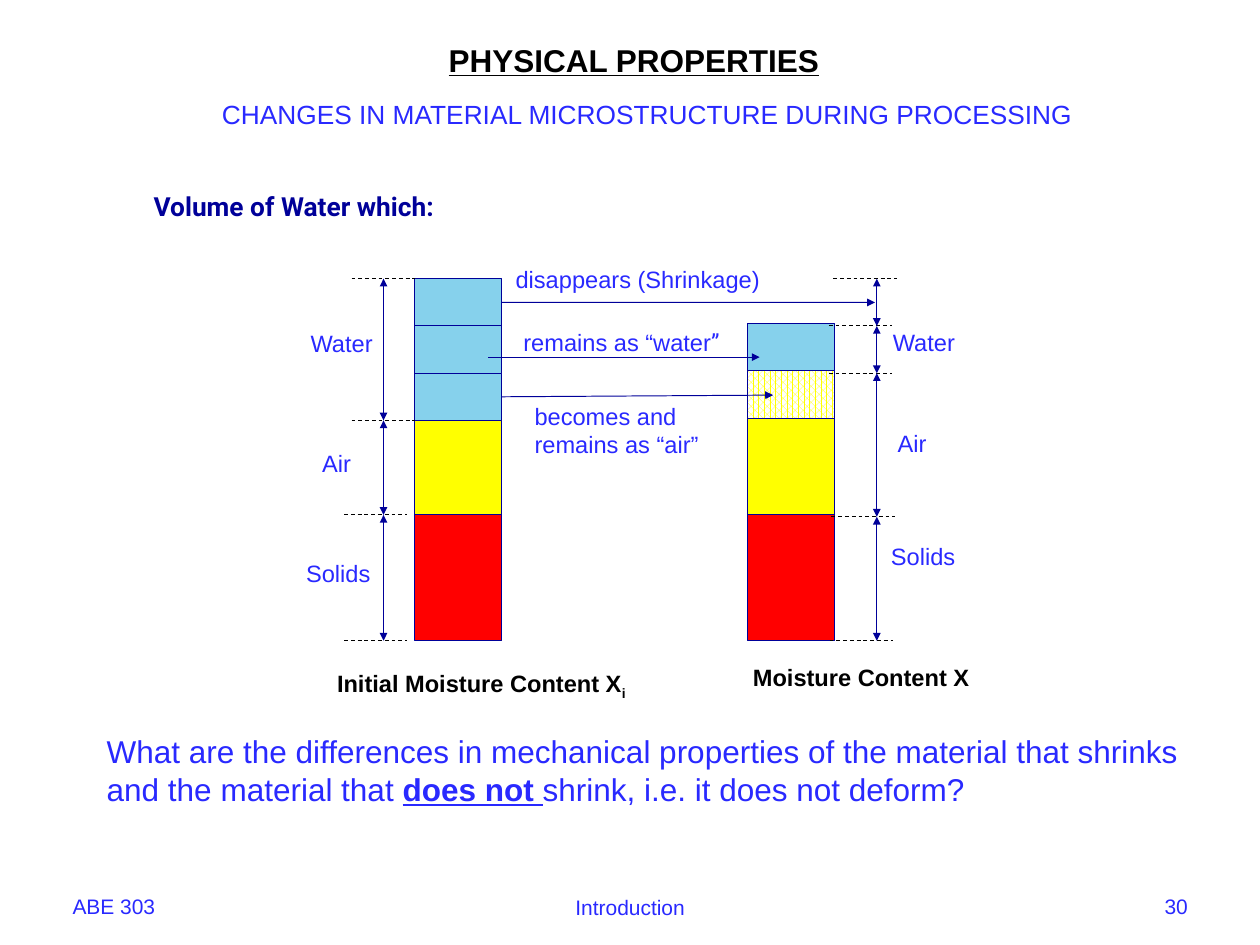
from collections import namedtuple
from itertools import accumulate, pairwise

from lxml import etree
from pptx import Presentation
from pptx.dml.color import RGBColor
from pptx.enum.dml import MSO_LINE, MSO_PATTERN
from pptx.enum.shapes import MSO_CONNECTOR, MSO_SHAPE
from pptx.enum.text import MSO_ANCHOR, MSO_AUTO_SIZE, PP_ALIGN
from pptx.oxml.ns import qn
from pptx.util import Cm, Pt

DASH = MSO_LINE.DASH
DOTTED = MSO_PATTERN.PERCENT_60
STRAIGHT = MSO_CONNECTOR.STRAIGHT
RECTANGLE = MSO_SHAPE.RECTANGLE
TOP, BOTTOM = MSO_ANCHOR.TOP, MSO_ANCHOR.BOTTOM
GROW, FIXED = MSO_AUTO_SIZE.SHAPE_TO_FIT_TEXT, MSO_AUTO_SIZE.NONE
LEFT, CENTER, RIGHT = PP_ALIGN.LEFT, PP_ALIGN.CENTER, PP_ALIGN.RIGHT
RIGHT_SIDE = 3

BLUE, NAVY, BLACK, WHITE = "2929FF", "000099", "000000", "FFFFFF"
WATER, AIR, SOLIDS = "86D1EC", "FFFF00", "FF0000"
NEW_AIR = "new air"

Box = namedtuple("Box", "left top width height")


def rgb(value):
    return RGBColor.from_string(value)


def add_text(slide, box, paragraphs, size=18, color=BLUE, align=LEFT,
             anchor=TOP, wrap=False, auto_size=GROW, **font_format):
    """Each paragraph is a list of (text, font overrides) runs."""
    text_box = slide.shapes.add_textbox(*map(Cm, box))
    frame = text_box.text_frame
    frame.word_wrap = wrap
    frame.auto_size = auto_size
    frame.vertical_anchor = anchor
    for index, runs in enumerate(paragraphs):
        paragraph = frame.add_paragraph() if index else frame.paragraphs[0]
        paragraph.alignment = align
        for text, overrides in runs:
            run = paragraph.add_run()
            run.text = text
            values = {"name": "Arial", "size": Pt(size)} | font_format | overrides
            baseline = values.pop("baseline", None)
            for attribute, value in values.items():
                setattr(run.font, attribute, value)
            run.font.color.rgb = rgb(color)
            if baseline:
                run.font._element.set("baseline", baseline)


def add_line(slide, start, end, color=NAVY, dash=None, arrow_ends=()):
    line = slide.shapes.add_connector(STRAIGHT, *map(Cm, (*start, *end)))
    line.line.color.rgb = rgb(color)
    line.line.width = Pt(0.75)
    if dash:
        line.line.dash_style = dash
    outline = line.line._get_or_add_ln()
    for arrow_end in arrow_ends:
        etree.SubElement(outline, qn(f"a:{arrow_end}"), type="triangle")
    etree.SubElement(line._element.spPr, qn("a:effectLst"))
    return line


def add_heading(slide, box):
    add_text(slide, Box(box.left + 9.63, box.top, 10.57, 1.3),
             [[("PHYSICAL PROPERTIES", {})]],
             size=24, color=BLACK, bold=True, underline=True)
    add_text(slide, Box(box.left, box.top + 1.54, box.width, 1.12),
             [[("CHANGES IN MATERIAL MICROSTRUCTURE DURING PROCESSING", {})]],
             size=20, align=CENTER, wrap=True)
    add_text(slide, Box(box.left + 1.7, box.top + 4.03, 9.12, 1.12),
             [[("Volume of Water which:", {})]],
             size=20, color=NAVY, name="Roboto", bold=True)


def add_column(slide, box, layers):
    """Stack (material, height) layers downwards and return their shapes."""
    tops = accumulate((height for _, height in layers), initial=box.top)
    blocks = []
    for (material, height), top in zip(layers, tops):
        block = slide.shapes.add_shape(
            RECTANGLE, *map(Cm, (box.left, top, box.width, height)))
        block.shadow.inherit = False
        if material == NEW_AIR:
            block.fill.patterned()
            block.fill.pattern = DOTTED
            block.fill.fore_color.rgb = rgb(AIR)
            block.fill.back_color.rgb = rgb(WHITE)
        else:
            block.fill.solid()
            block.fill.fore_color.rgb = rgb(material)
        block.line.color.rgb = rgb(NAVY)
        block.line.width = Pt(0.75)
        blocks.append(block)
    return blocks


def add_scale(slide, box, arrow_x, ticks, labels):
    """Dashed ticks (x, y), arrows between them, and labels (text, x, y, width)."""
    for x, y in ticks:
        add_line(slide, (box.left + x, box.top + y),
                 (box.left + x + box.width, box.top + y), BLACK, DASH)
    for (_, upper), (_, lower) in pairwise(ticks):
        add_line(slide, (box.left + arrow_x, box.top + upper),
                 (box.left + arrow_x, box.top + lower),
                 arrow_ends=("headEnd", "tailEnd"))
    for text, x, y, width in labels:
        add_text(slide, Box(box.left + x, box.top + y, width, 1.02), [[(text, {})]])


def add_water_paths(slide, box, vanishing_water, air_water):
    """Arrows showing what happens to each third of the water."""
    paths = [
        ((0.38, 1.14), (10.39, 1.14), vanishing_water, Box(0.48, 0, 7.14, 1.02),
         [[("disappears (Shrinkage)", {})]]),
        ((0, 2.61), (7.29, 2.61), None, Box(0.69, 1.7, 5.89, 1.02),
         [[("remains as “water", {}), ("”", {"name": "Roboto"})]]),
        ((0.38, 3.68), (7.65, 3.63), air_water, Box(0.99, 3.68, 5, 1.8),
         [[("becomes and", {})], [("remains as “air”", {})]]),
    ]
    for (x1, y1), (x2, y2), source, label, paragraphs in paths:
        arrow = add_line(slide, (box.left + x1, box.top + y1),
                         (box.left + x2, box.top + y2), arrow_ends=("tailEnd",))
        if source is not None:
            arrow.begin_connect(source, RIGHT_SIDE)
        add_text(slide, label._replace(left=box.left + label.left,
                                       top=box.top + label.top), paragraphs)


def add_captions(slide, box):
    add_text(slide, Box(box.left, box.top + 0.15, 8.36, 1.02),
             [[("Initial Moisture Content X", {}), ("i", {"baseline": "-25000"})]],
             color=BLACK, bold=True)
    add_text(slide, Box(box.left + 11.18, box.top, 6.4, 1.02),
             [[("Moisture Content X", {})]], color=BLACK, bold=True)


def add_question(slide, box):
    add_text(slide, box, [[
        ("What are the differences in mechanical properties of the material "
         "that shrinks and the material that ", {}),
        ("does not ", {"bold": True, "underline": True}),
        ("shrink, i.e. it does not deform?", {}),
    ]], size=24, wrap=True)


def add_footer(slide, box):
    for text, x, y, width, align in [
        ("ABE 303", 0, 0, 7.9, LEFT),
        ("Introduction", 9.88, 0.03, 10.72, CENTER),
        ("30", box.width - 7.9, 0, 7.9, RIGHT),
    ]:
        add_text(slide, Box(box.left + x, box.top + y, width, box.height),
                 [[(text, {})]], size=16, align=align, anchor=BOTTOM,
                 wrap=True, auto_size=FIXED)


def main():
    presentation = Presentation()
    presentation.slide_width, presentation.slide_height = Cm(33.87), Cm(25.4)
    slide = presentation.slides.add_slide(presentation.slide_layouts[6])

    add_heading(slide, Box(2.18, 0.97, 30.43, 5.15))

    # Material before and after drying
    vanishing_water, _, air_water, *_ = add_column(
        slide, Box(11.15, 7.49, 2.34, 9.73),
        [(WATER, 1.27)] * 3 + [(AIR, 2.54), (SOLIDS, 3.38)])
    add_column(slide, Box(20.09, 8.69, 2.34, 8.53),
               [(WATER, 1.27), (NEW_AIR, 1.3), (AIR, 2.58), (SOLIDS, 3.38)])

    # Scales beside the columns
    add_scale(slide, Box(9.25, 7.49, 1.7, 9.73), 1.06,
              [(0.2, 0), (0.2, 3.81), (0, 6.35), (0, 9.73)],
              [("Water", -1.15, 1.22, 2.18), ("Air", -0.84, 4.45, 1.3),
               ("Solids", -1.27, 7.42, 2.26)])
    add_scale(slide, Box(22.28, 7.49, 1.7, 9.73), 1.29,
              [(0.12, 0), (0, 1.27), (0, 2.54), (0.07, 6.4), (0.02, 9.73)],
              [("Water", 1.47, 1.2, 2.18), ("Air", 1.6, 3.91, 1.3),
               ("Solids", 1.42, 6.96, 2.26)])

    add_water_paths(slide, Box(13.13, 6.99, 10.39, 5.48), vanishing_water, air_water)
    add_captions(slide, Box(8.81, 17.7, 17.58, 1.17))
    add_question(slide, Box(2.62, 19.56, 29.54, 2.31))
    add_footer(slide, Box(1.7, 23.11, 30.48, 1.7))

    presentation.save("out.pptx")


if __name__ == "__main__":
    main()
